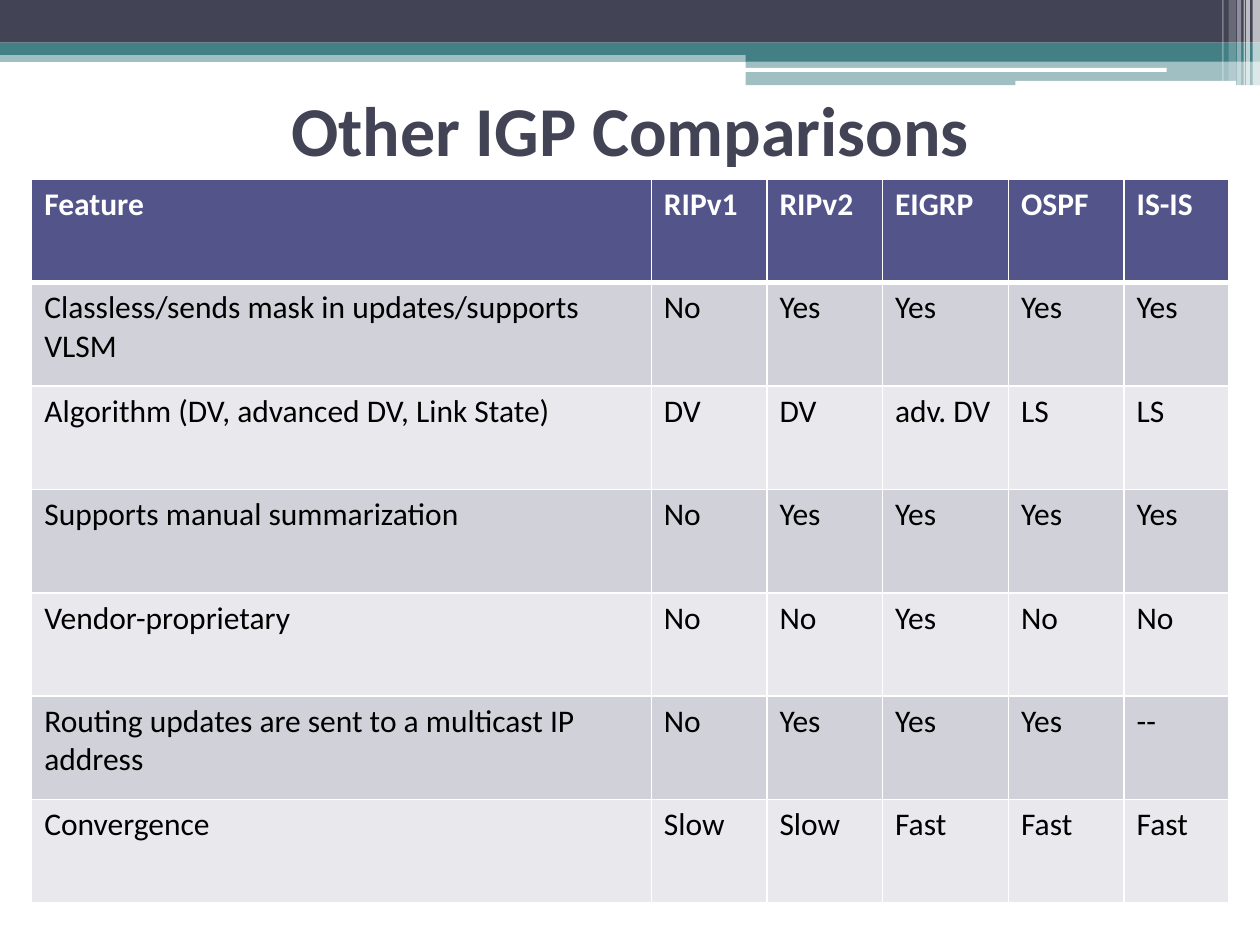
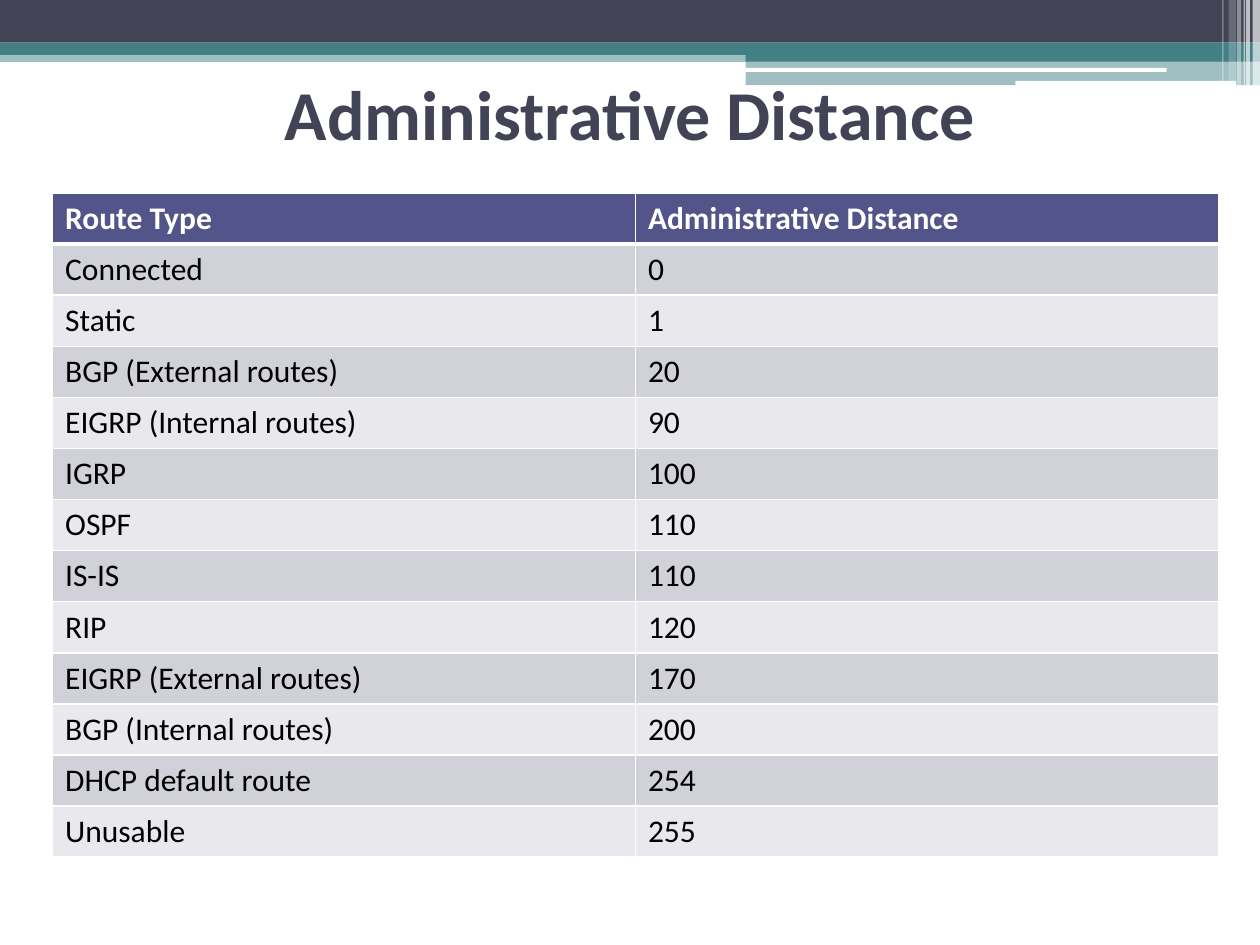
from dataclasses import dataclass
from typing import Any

from lxml import etree
from pptx import Presentation
from pptx import util as u
from pptx.dml.color import RGBColor
from pptx.enum import shapes, text
from pptx.oxml import ns

DARK = RGBColor(0x42, 0x44, 0x56)
TEAL = RGBColor(0x43, 0x80, 0x86)
INDIGO = RGBColor(0x53, 0x54, 0x8A)
ROW_ODD = RGBColor(0xD1, 0xD1, 0xDA)
ROW_EVEN = RGBColor(0xE9, 0xE9, 0xED)
WHITE = RGBColor(0xFF, 0xFF, 0xFF)
BLACK = RGBColor(0x00, 0x00, 0x00)

FONT = "Calibri"
TITLE_FONT = {"name": FONT, "size": u.Pt(40), "bold": True}
HEADER_FONT = {"name": FONT, "size": u.Pt(18), "bold": True}
BODY_FONT = {**HEADER_FONT, "bold": False}
TITLE_FRAME = {"word_wrap": True, "vertical_anchor": text.MSO_ANCHOR.MIDDLE}


@dataclass
class Band:
    left: float
    top: float
    width: float
    height: float
    color: RGBColor
    opacity: int = 100
    rounded: bool = False


@dataclass
class TableSlide:
    title: str
    title_top: float
    left: float
    top: float
    height: float
    widths: list[float]
    rows: list[list[str]]


STRIPES = [
    (25.25, 0.15, 1.73, 65),
    (25.12, 0.08, 1.73, 65),
    (25.07, 0.03, 1.73, 60),
    (24.94, 0.08, 1.73, 40),
    (24.77, 0.15, 1.63, 20),
    (24.64, 0.03, 1.63, 30),
]

BANDS = [
    Band(0, 1.02, 25.4, 0.23, TEAL, 50),
    Band(0, 0, 25.4, 0.86, DARK),
    Band(0, 0.86, 25.4, 0.25, TEAL),
    Band(15.03, 0.99, 10.37, 0.25, TEAL),
    Band(15.03, 1.22, 10.37, 0.5, TEAL, 50),
    Band(15.01, 1.37, 8.51, 0.08, WHITE, rounded=True),
    Band(20.47, 1.63, 4.45, 0.1, WHITE, rounded=True),
    *(Band(x, 0, w, h, WHITE, a) for x, w, h, a in STRIPES),
]

SLIDES = [
    TableSlide(
        "Other IGP Comparisons", 1.6, 0.64, 3.61, 14.6,
        [12.49, 2.33, 2.33, 2.54, 2.33, 2.11],
        [
            ["Feature", "RIPv1", "RIPv2", "EIGRP", "OSPF", "IS-IS"],
            ["Classless/sends mask in updates/supports VLSM",
             "No", "Yes", "Yes", "Yes", "Yes"],
            ["Algorithm (DV, advanced DV, Link State)",
             "DV", "DV", "adv. DV", "LS", "LS"],
            ["Supports manual summarization", "No", "Yes", "Yes", "Yes", "Yes"],
            ["Vendor-proprietary", "No", "No", "Yes", "No", "No"],
            ["Routing updates are sent to a multicast IP address",
             "No", "Yes", "Yes", "Yes", "--"],
            ["Convergence", "Slow", "Slow", "Fast", "Fast", "Fast"],
        ],
    ),
    TableSlide(
        "Administrative Distance", 1.27, 1.06, 3.89, 13.38,
        [11.75, 11.75],
        [
            ["Route Type", "Administrative Distance"],
            ["Connected", "0"],
            ["Static", "1"],
            ["BGP (External routes)", "20"],
            ["EIGRP (Internal routes)", "90"],
            ["IGRP", "100"],
            ["OSPF", "110"],
            ["IS-IS", "110"],
            ["RIP", "120"],
            ["EIGRP (External routes)", "170"],
            ["BGP (Internal routes)", "200"],
            ["DHCP default route", "254"],
            ["Unusable", "255"],
        ],
    ),
]


def apply(target: Any, values: dict[str, Any]) -> None:
    for name, value in values.items():
        setattr(target, name, value)


def place(shape: Any, left: float, top: float, width: float, height: float) -> None:
    apply(shape, {"left": u.Cm(left), "top": u.Cm(top),
                  "width": u.Cm(width), "height": u.Cm(height)})


def write(p: Any, words: str, font: dict[str, Any], color: RGBColor) -> None:
    r = p.add_run()
    r.text = words
    apply(r.font, font)
    r.font.color.rgb = color


def draw_band(s: Any, band: Band) -> Any:
    kind = shapes.MSO_SHAPE.ROUNDED_RECTANGLE if band.rounded else shapes.MSO_SHAPE.RECTANGLE
    sp = s.shapes.add_shape(kind, 0, 0, 0, 0)
    place(sp, band.left, band.top, band.width, band.height)
    sp.shadow.inherit = False
    sp.line.fill.background()
    sp.fill.solid()
    sp.fill.fore_color.rgb = band.color
    if band.opacity < 100:
        color = sp.element.spPr.find(".//" + ns.qn("a:srgbClr"))
        etree.SubElement(color, ns.qn("a:alpha"), val=str(band.opacity * 1000))
    return sp


def add_bands_to_layout(s: Any) -> None:
    tree = s.slide_layout.shapes.element
    for number, band in enumerate(BANDS, start=100):
        sp = draw_band(s, band)
        sp.element.nvSpPr.cNvPr.set("id", str(number))
        tree.append(sp.element)


def set_borders(cell: Any, top: int, bottom: int) -> None:
    tc_pr = cell._tc.get_or_add_tcPr()
    for side, points in {"L": 1, "R": 1, "T": top, "B": bottom}.items():
        line = etree.SubElement(tc_pr, ns.qn(f"a:ln{side}"), w=str(u.Pt(points)))
        fill = etree.SubElement(line, ns.qn("a:solidFill"))
        etree.SubElement(fill, ns.qn("a:srgbClr"), val=str(WHITE))


def draw_title(s: Any, words: str, top: float) -> None:
    sp = s.shapes.title
    place(sp, 1.27, top, 22.86, 1.98)
    tf = sp.text_frame
    apply(tf, TITLE_FRAME)
    p = tf.paragraphs[0]
    p.alignment = text.PP_ALIGN.CENTER
    write(p, words, TITLE_FONT, DARK)


def draw_table(s: Any, data: TableSlide) -> None:
    frame = s.shapes.add_table(
        len(data.rows), len(data.widths), u.Cm(data.left), u.Cm(data.top),
        u.Cm(sum(data.widths)), u.Cm(data.height))
    table = frame.table
    for column, width in zip(table.columns, data.widths):
        column.width = u.Cm(width)
    for i, values in enumerate(data.rows):
        table.rows[i].height = u.Cm(data.height / len(data.rows))
        header = i == 0
        fill = INDIGO if header else ROW_ODD if i % 2 else ROW_EVEN
        for j, value in enumerate(values):
            cell = table.cell(i, j)
            set_borders(cell, 3 if i == 1 else 1, 3 if header else 1)
            cell.fill.solid()
            cell.fill.fore_color.rgb = fill
            write(cell.text_frame.paragraphs[0], value,
                  HEADER_FONT if header else BODY_FONT, WHITE if header else BLACK)


def main() -> None:
    prs = Presentation()
    apply(prs, {"slide_width": u.Cm(25.4), "slide_height": u.Cm(19.05)})
    layout = prs.slide_layouts.get_by_name("Title Only")
    for i, data in enumerate(SLIDES):
        s = prs.slides.add_slide(layout)
        if i == 0:
            add_bands_to_layout(s)
        draw_title(s, data.title, data.title_top)
        draw_table(s, data)
    prs.save("out.pptx")


main()
